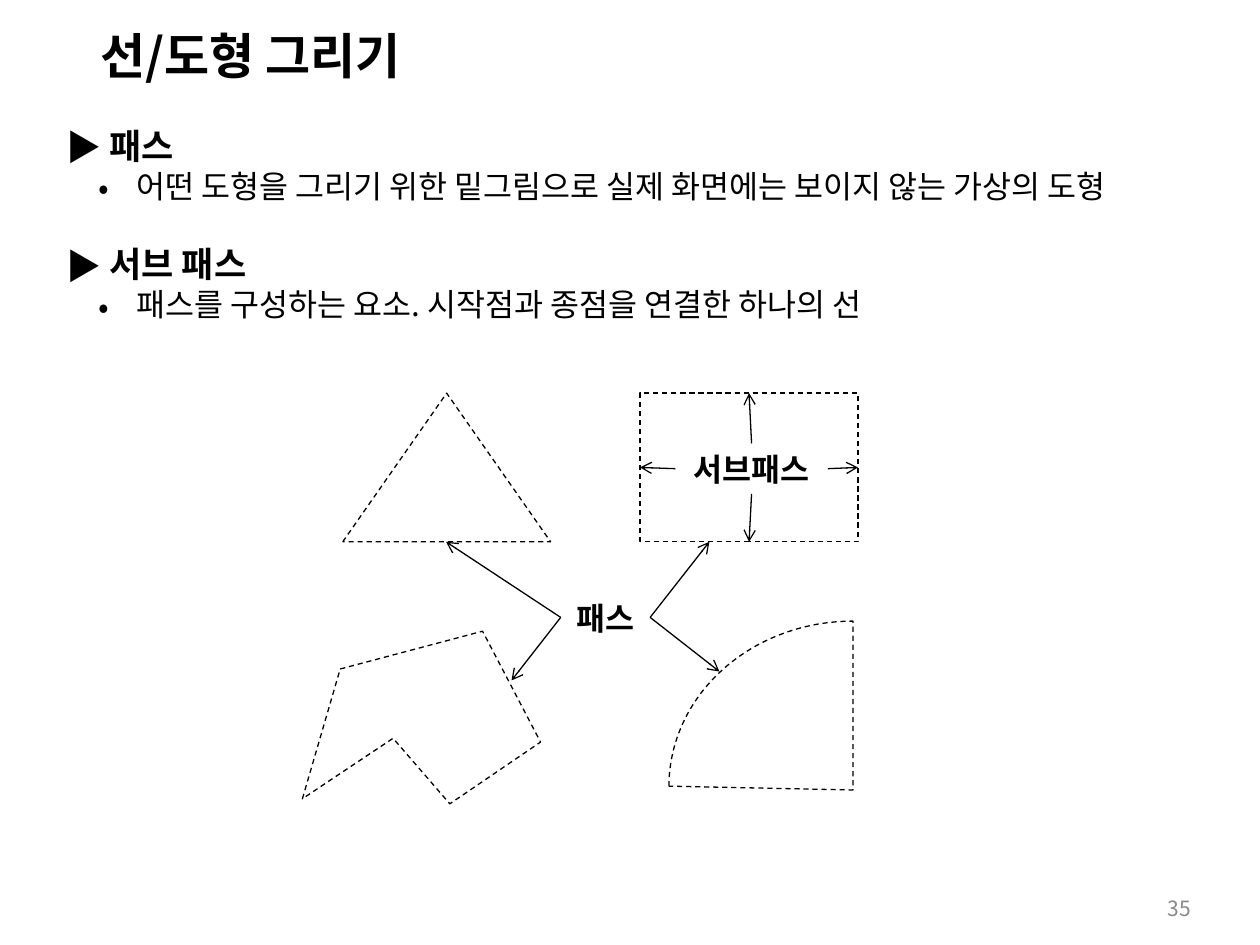
from math import cos, pi, sin

from lxml.etree import SubElement
from pptx import Presentation
from pptx.dml.color import RGBColor
from pptx.enum.dml import MSO_LINE
from pptx.enum.shapes import MSO_CONNECTOR as CONNECTOR, MSO_SHAPE as SHAPE
from pptx.enum.text import MSO_ANCHOR as ANCHOR, PP_ALIGN as ALIGN
from pptx.oxml.ns import qn
from pptx.util import Inches, Pt

BLACK = RGBColor(0x00, 0x00, 0x00)
GRAY = RGBColor(0x89, 0x89, 0x89)
FONT = "Noto Sans CJK KR"
CELL = Inches(0.1)  # the slide is a grid of 100 columns by 75 rows
LINE_WIDTH = Pt(0.75)

presentation = Presentation()
presentation.slide_width, presentation.slide_height = 100 * CELL, 75 * CELL
slide = presentation.slides.add_slide(presentation.slide_layouts[6])
shapes = slide.shapes


def grid(*cells):
    return [round(cell * CELL) for cell in cells]


def write(paragraph, text, size, bold=True, color=BLACK):
    """Fill a paragraph with one run, in the same font for Latin and Korean."""
    paragraph.text = text
    paragraph.line_spacing = Pt(round(size * 1.21))
    font = paragraph.runs[0].font
    font.name, font.size, font.bold = FONT, Pt(size), bold
    font.color.rgb = color
    SubElement(paragraph.runs[0]._r.get_or_add_rPr(), qn("a:ea"), typeface=FONT)


# Title, diagram labels and page number
boxes = {}
for name, place, text, size, bold, color, align in (
    ("title", (7, 1.5, 28, 5.7), "선/도형 그리기", 28, True, BLACK, ALIGN.LEFT),
    ("subpath", (53.6, 35.2, 12.1, 4), "서브패스", 18, True, BLACK, ALIGN.CENTER),
    ("path", (44.5, 47, 7.1, 4), "패스", 18, True, BLACK, ALIGN.CENTER),
    ("number", (72.2, 70, 23.3, 4), "35", 12, False, GRAY, ALIGN.RIGHT),
):
    box = boxes[name] = shapes.add_textbox(*grid(*place))
    box.text_frame.word_wrap = name == "number"
    if name == "number":
        box.text_frame.vertical_anchor = ANCHOR.MIDDLE
    paragraph = box.text_frame.paragraphs[0]
    paragraph.alignment = align
    write(paragraph, text, size, bold, color)

# Definitions: level 0 is a term, level 1 its explanation
body = shapes.add_textbox(*grid(4.3, 9.4, 91.4, 17.1)).text_frame
body.word_wrap = True
definitions = (
    (0, " 패스"),
    (1, " 어떤 도형을 그리기 위한 밑그림으로 실제 화면에는 보이지 않는 가상의 도형"),
    (0, " 서브 패스"),
    (1, " 패스를 구성하는 요소. 시작점과 종점을 연결한 하나의 선"),
)
for index, (level, text) in enumerate(definitions):
    paragraph = body.add_paragraph() if index else body.paragraphs[0]
    paragraph.level = level
    properties = paragraph._p.get_or_add_pPr()
    properties.set("marL", str(Inches(0.25 * (level + 1))))
    properties.set("indent", str(-Inches(0.25)))
    SubElement(properties, qn("a:buFont"), typeface=FONT)
    SubElement(properties, qn("a:buChar"), char="▶•"[level])
    if index and level == 0:
        paragraph.space_before = Pt(21.5)
    write(paragraph, text, (20, 18)[level], level == 0)

# Dashed outlines
triangle = shapes.add_shape(SHAPE.ISOSCELES_TRIANGLE, *grid(27.2, 31.2, 16.5, 11.8))
rectangle = shapes.add_shape(SHAPE.RECTANGLE, *grid(50.8, 31.2, 17.3, 11.8))
outlines = [triangle, rectangle]

polygon = [(27, 53.1), (38.3, 50.1), (42.9, 58.9), (35.7, 63.8), (31.2, 58.6), (24, 63.4)]
arc_steps = 48
angles = [step * pi / 2 / arc_steps for step in range(arc_steps + 1)]
sector = [(67.7 - 14.6 * cos(a), 62.4 - 13.1 * sin(a)) for a in angles] + [(67.7, 62.7)]
for points in (polygon, sector):
    start, *others = [grid(*point) for point in points]
    builder = shapes.build_freeform(*start)
    builder.add_line_segments(others, close=True)
    outlines.append(builder.convert_to_shape())

for outline in outlines:
    outline.shadow.inherit = False
    outline.fill.background()
    outline.line.color.rgb = BLACK
    outline.line.width = LINE_WIDTH
    outline.line.dash_style = MSO_LINE.DASH

# Arrows: label, side it leaves from, end point or None for the rectangle's same side
arrows = [("subpath", side, None) for side in range(4)] + [
    ("path", 1, (35.4, 43)),
    ("path", 1, (40.6, 54)),
    ("path", 3, (57.1, 53.3)),
    ("path", 3, (56.3, 43)),
]
for label, side, end in arrows:
    arrow = shapes.add_connector(CONNECTOR.STRAIGHT, 0, 0, *grid(*(end or (0, 0))))
    arrow.begin_connect(boxes[label], side)
    if end is None:
        arrow.end_connect(rectangle, side)
    arrow.line.color.rgb = BLACK
    arrow.line.width = LINE_WIDTH
    SubElement(arrow.line._get_or_add_ln(), qn("a:tailEnd"), type="arrow")
    SubElement(arrow._element.spPr, qn("a:effectLst"))

presentation.save("out.pptx")
